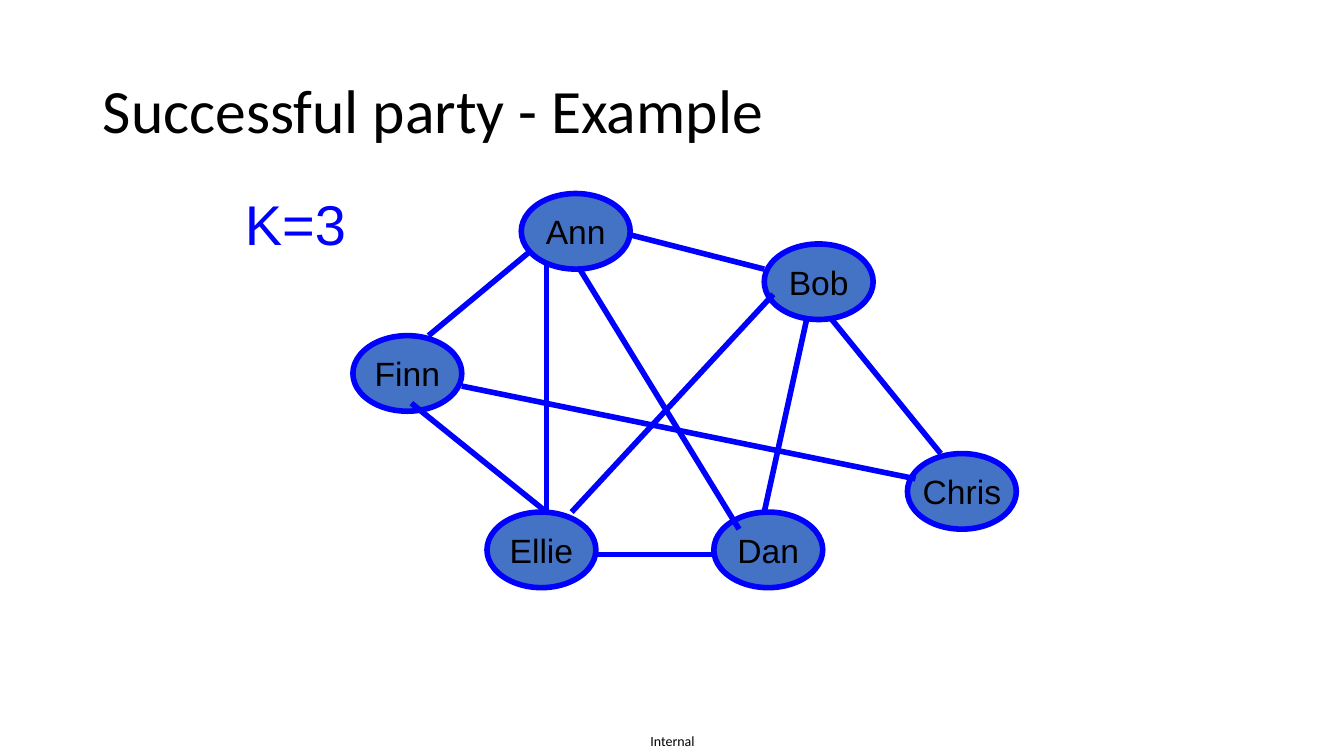
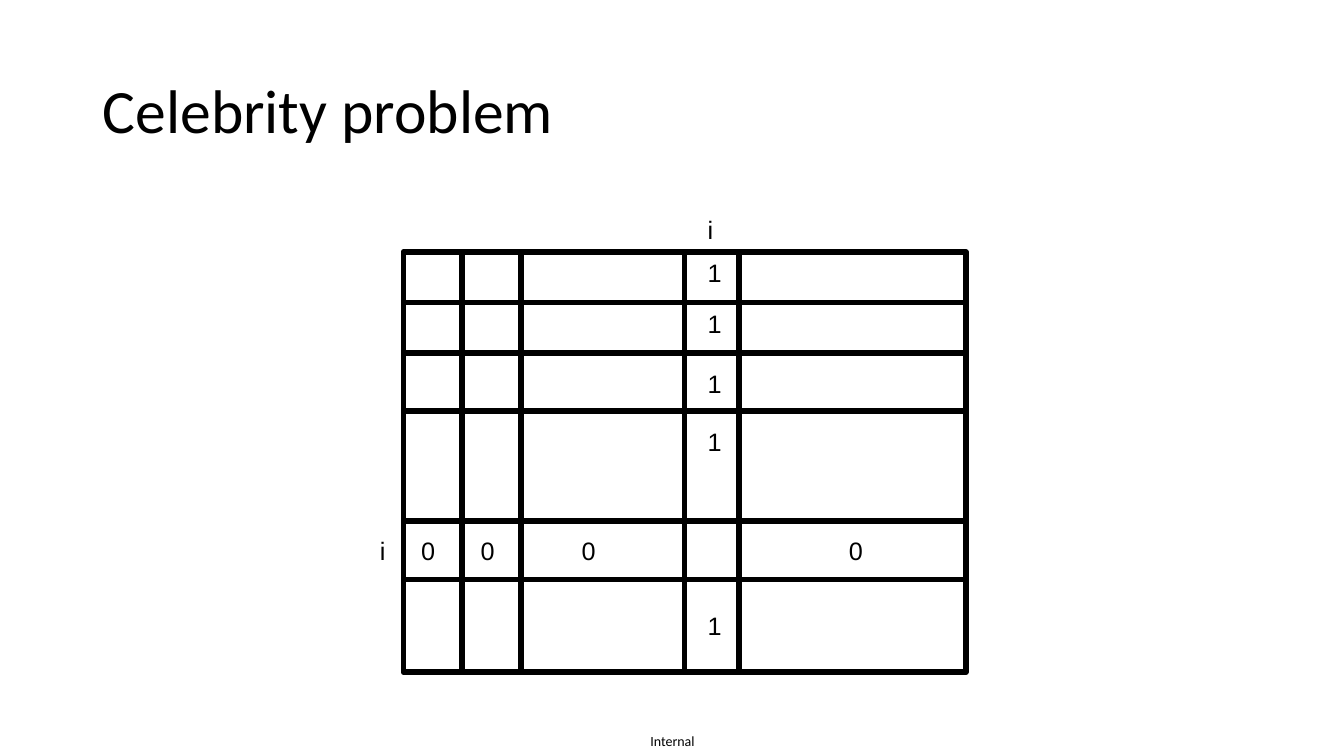
"""Build two slides: a party acquaintance graph and a celebrity matrix."""
from lxml.etree import SubElement
from pptx import Presentation
from pptx.dml.color import RGBColor
from pptx.enum.shapes import MSO_CONNECTOR, MSO_SHAPE
from pptx.enum.text import MSO_ANCHOR, MSO_AUTO_SIZE, PP_ALIGN
from pptx.oxml.ns import qn
from pptx.util import Inches, Pt

BLACK = RGBColor(0x00, 0x00, 0x00)
BLUE = RGBColor(0x00, 0x00, 0xFF)
STEEL = RGBColor(0x44, 0x72, 0xC4)
LINE_WIDTH = Pt(4)


def write(shape, text, size, color=BLACK, font="Arial", align=PP_ALIGN.LEFT, wrap=False):
    frame = shape.text_frame
    frame.text = text
    frame.word_wrap = wrap
    para = frame.paragraphs[0]
    para.alignment = align
    span = para.runs[0]
    span.font.size = Pt(size)
    span.font.name = font
    span.font.color.rgb = color
    return frame


def draw_line(page, start, end, color):
    points = [Inches(value) for value in (*start, *end)]
    line = page.shapes.add_connector(MSO_CONNECTOR.STRAIGHT, *points)
    line.line.color.rgb = color
    line.line.width = LINE_WIDTH
    SubElement(line.element.spPr, qn("a:effectLst"))
    return line


deck = Presentation()
deck.slide_width = Inches(13.33)
deck.slide_height = Inches(7.5)
layout = deck.slide_layouts.get_by_name("Title Only")
layout_title = layout.placeholders[0]
layout_title.left, layout_title.top = Inches(0.92), Inches(0.4)
layout_title.width, layout_title.height = Inches(11.5), Inches(1.45)

pages = []
for heading in ("Successful party - Example", "Celebrity problem"):
    page = deck.slides.add_slide(layout)
    frame = write(page.shapes.title, heading, 44, font="Calibri", wrap=True)
    frame.vertical_anchor = MSO_ANCHOR.MIDDLE
    frame.paragraphs[0].line_spacing = 0.9
    pages.append(page)
party, celebrity = pages

footer = party.shapes.add_textbox(Inches(6.3), Inches(7.21), Inches(0.74), Inches(0.29))
frame = write(footer, "Internal", 10, font="Calibri", align=PP_ALIGN.CENTER, wrap=True)
frame.vertical_anchor = MSO_ANCHOR.MIDDLE
frame.margin_left = frame.margin_right = frame.margin_top = frame.margin_bottom = 0
footer.element.nvSpPr.cNvPr.set("id", "20")
layout.shapes.element.append(footer.element)

guests = {
    "Ann": (5.17, 1.92),
    "Bob": (7.58, 2.42),
    "Chris": (9, 4.5),
    "Dan": (7.08, 5.08),
    "Ellie": (4.83, 5.08),
    "Finn": (3.5, 3.33),
}
for name, (left, top) in guests.items():
    guest = party.shapes.add_shape(
        MSO_SHAPE.OVAL, Inches(left), Inches(top), Inches(1.08), Inches(0.75))
    guest.shadow.inherit = False
    guest.fill.solid()
    guest.fill.fore_color.rgb = STEEL
    guest.line.color.rgb = BLUE
    guest.line.width = LINE_WIDTH
    frame = write(guest, name, 24, align=PP_ALIGN.CENTER)
    frame.vertical_anchor = MSO_ANCHOR.MIDDLE

friendships = [
    ((6.25, 2.33), (7.58, 2.67)),
    ((5.75, 2.67), (7.33, 5.25)),
    ((4.08, 4), (5.42, 5.08)),
    ((5.25, 2.5), (4.25, 3.33)),
    ((7.67, 2.92), (5.67, 5.08)),
    ((8, 3.17), (7.58, 5.08)),
    ((7.08, 5.5), (5.92, 5.5)),
    ((4.58, 3.83), (9.08, 4.75)),
    ((8.25, 3.17), (9.33, 4.5)),
    ((5.42, 2.6), (5.42, 5.08)),
]
for start, end in friendships:
    draw_line(party, start, end, BLUE)

threshold = party.shapes.add_textbox(Inches(2.33), Inches(1.83), Inches(1.2), Inches(0.77))
frame = write(threshold, "K=3", 40, BLUE, align=PP_ALIGN.CENTER)
frame.auto_size = MSO_AUTO_SIZE.SHAPE_TO_FIT_TEXT

LEFT, TOP, RIGHT, BOTTOM = 4, 2.5, 9.58, 6.67
MIDDLE = (LEFT + RIGHT) / 2
matrix = celebrity.shapes.add_shape(
    MSO_SHAPE.RECTANGLE, Inches(LEFT), Inches(TOP), Inches(RIGHT - LEFT), Inches(BOTTOM - TOP))
matrix.shadow.inherit = False
matrix.fill.background()
matrix.line.color.rgb = BLACK
matrix.line.width = LINE_WIDTH

for y in (3, 3.5, 4.08, 5.17, 5.75):
    draw_line(celebrity, (LEFT, y), (RIGHT, y), BLACK)
for x in (4.58, 5.17, MIDDLE, 7.33):
    divider = draw_line(celebrity, (x, TOP), (x, BOTTOM), BLACK)
    if x == MIDDLE:
        divider.begin_connect(matrix, 0)
        divider.end_connect(matrix, 2)

COLUMN_I, ROW_I = 6.92, 5.26
labels = [("i", 3.67, ROW_I), ("i", COLUMN_I, 2.08)]
labels += [("1", COLUMN_I, top) for top in (2.5, 3.01, 3.6, 4.18, 6.01)]
labels += [("0", left, ROW_I) for left in (4.08, 4.67, 5.67, 8.32)]
for text, left, top in labels:
    width = 0.26 if text == "i" else 0.34
    label = celebrity.shapes.add_textbox(Inches(left), Inches(top), Inches(width), Inches(0.4))
    frame = write(label, text, 18)
    frame.auto_size = MSO_AUTO_SIZE.SHAPE_TO_FIT_TEXT

deck.save("out.pptx")
